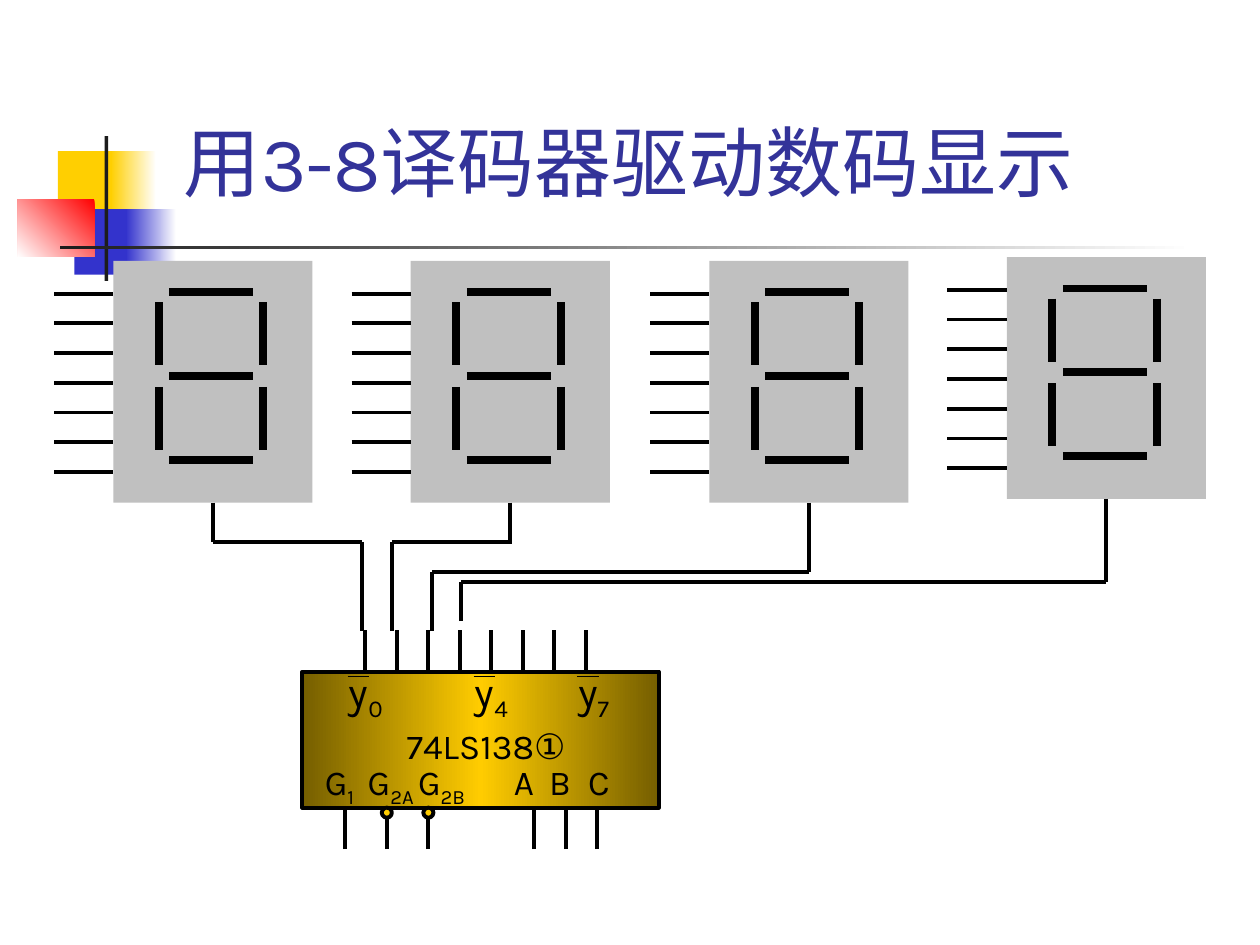
import copy
import itertools
import pptx
import pptx.util
import pptx.dml.color
import pptx.enum.shapes
import pptx.enum.text
import pptx.oxml.ns
import lxml.etree

RGB = pptx.dml.color.RGBColor
Inches, Pt = pptx.util.Inches, pptx.util.Pt
KIND = pptx.enum.shapes.MSO_SHAPE
BLACK, WHITE = RGB(0, 0, 0), RGB(255, 255, 255)
GOLD, AMBER, BRONZE = RGB(0xFF, 0xCF, 0x01), RGB(0xFF, 0xCC, 0), RGB(0x75, 0x5E, 0)
BLUE, RED = RGB(0x33, 0x33, 0xCC), RGB(0xFF, 0, 0)
INK, GRAY, NAVY = RGB(0x1C, 0x1C, 0x1C), RGB(0xC0, 0xC0, 0xC0), RGB(0x33, 0x33, 0x99)
FONT = "Karla"
THIN, WIRE, BAR = 0.75, 2.25, 4.5

TITLE = "用3-8译码器驱动数码显示"

# box, colours (one is solid, more make a gradient), clockwise angle
DECOR = [
    ((0.46, 1.2, 0.48, 0.52), [GOLD], 0),
    ((0.88, 1.2, 0.36, 0.52), [WHITE, GOLD], 180),
    ((0.59, 1.66, 0.46, 0.52), [BLUE], 0),
    ((1, 1.66, 0.4, 0.52), [WHITE, BLUE], 180),
    ((0.14, 1.58, 0.61, 0.46), [RED, WHITE], 135),
    ((0.83, 1.08, 0.03, 1.15), [INK], 0),
    ((0.48, 1.95, 9, 0.03), [WHITE, INK], 180),
]

# left and top of each seven-segment panel
PANELS = [(3.26, 2.07), (5.63, 2.07), (0.9, 2.07), (7.99, 2.04)]
PANEL_W, PANEL_H = 1.58, 1.92
PINS, PIN_GAP, PIN_LEN = 7, 0.236, 0.47

CHIP = (2.4, 5.33, 2.83, 1.08)
CHIP_BASE = CHIP[1] + CHIP[3]
LEG = 0.33
OUTPUTS = [2.9 + 0.25 * i for i in range(8)]
INPUTS = [2.74, 3.07, 3.4, 4.24, 4.49, 4.74]
INVERTED = INPUTS[1:3]

# text, subscript, box, size
LABELS = [
    ("y", "0", (2.67, 5.23, 0.48, 0.56), 24),
    ("y", "4", (3.67, 5.23, 0.48, 0.56), 24),
    ("y", "7", (4.49, 5.23, 0.48, 0.56), 24),
    ("G", "1", (2.48, 5.99, 0.49, 0.48), 20),
    ("G", "2A", (2.82, 5.99, 0.6, 0.48), 20),
    ("G", "2B", (3.22, 5.99, 0.6, 0.48), 20),
    ("A", "", (3.98, 5.99, 0.38, 0.44), 20),
    ("B", "", (4.26, 5.99, 0.38, 0.44), 20),
    ("C", "", (4.57, 5.99, 0.37, 0.44), 20),
    ("74LS138①", "", (3.13, 5.7, 1.57, 0.44), 20),
]

ROUTES = [
    [(1.69, 4.3), (2.87, 4.3), (2.87, 5.01)],
    [(3.11, 5.01), (3.11, 4.3), (4.06, 4.3)],
    [(3.43, 5.01), (3.43, 4.54), (6.42, 4.54), (6.42, 4.3)],
    [(3.66, 4.93), (3.66, 4.62), (8.78, 4.62), (8.78, 4.22)],
]


def add_line(shapes, start, end, weight=WIRE):
    line = shapes.add_connector(pptx.enum.shapes.MSO_CONNECTOR.STRAIGHT,
                                *map(Inches, start + end))
    line.line.color.rgb = BLACK
    line.line.width = Pt(weight)
    props = line._element.spPr
    lxml.etree.SubElement(props, pptx.oxml.ns.qn("a:effectLst"))


def paint(fill, colors, angle):
    """Fill with one colour, or with evenly spaced gradient stops."""
    if len(colors) == 1:
        fill.solid()
        fill.fore_color.rgb = colors[0]
        return
    fill.gradient()
    fill.gradient_angle = (360 - angle) % 360
    stops = fill._fill._gradFill.gsLst
    for _ in colors[2:]:
        stops.append(copy.deepcopy(stops[-1]))
    for i, (stop, color) in enumerate(zip(fill.gradient_stops, colors)):
        stop.position = i / (len(colors) - 1)
        stop.color.rgb = color


def add_block(shapes, box, colors, angle=0, kind=KIND.RECTANGLE, edge=False):
    block = shapes.add_shape(kind, *map(Inches, box))
    block.shadow.inherit = False
    paint(block.fill, colors, angle)
    if edge:
        block.line.color.rgb = BLACK
        block.line.width = Pt(WIRE)
    else:
        block.line.fill.background()


def style(run, size, color):
    run.font.name = FONT
    run.font.size = Pt(size)
    run.font.color.rgb = color


def add_label(shapes, text, sub, box, size):
    frame = shapes.add_textbox(*map(Inches, box)).text_frame
    frame.word_wrap = False
    para = frame.paragraphs[0]
    para.text = text
    if sub:
        low = para.add_run()
        low.text = sub
        low.font._element.set("baseline", "-25000")
    for run in para.runs:
        style(run, size, BLACK)


def add_panel(shapes, left, top):
    add_block(shapes, (left, top, PANEL_W, PANEL_H), [GRAY])
    for row in range(3):
        y = top + 0.25 + 0.665 * row
        add_line(shapes, (left + 0.445, y), (left + 1.11, y), BAR)
    for x, y in itertools.product((left + 0.36, left + 1.19), (top + 0.33, top + 1)):
        add_line(shapes, (x, y), (x, y + 0.5), BAR)
    for pin in range(PINS):
        y = top + 0.26 + PIN_GAP * pin
        add_line(shapes, (left - PIN_LEN, y), (left, y))
    mid, base = left + PANEL_W / 2, top + PANEL_H
    add_line(shapes, (mid, base), (mid, base + 0.31))


def add_chip(shapes):
    for x in OUTPUTS:
        add_line(shapes, (x, CHIP[1]), (x, CHIP[1] - LEG))
    for x in INPUTS:
        add_line(shapes, (x, CHIP_BASE + LEG), (x, CHIP_BASE))
    add_block(shapes, CHIP, [BRONZE, AMBER, BRONZE], 180, edge=True)
    for text, sub, box, size in LABELS:
        add_label(shapes, text, sub, box, size)
        if text == "y":
            x = box[0] + 0.09
            add_line(shapes, (x, 5.37), (x + 0.17, 5.37), THIN)
    for x in INVERTED:
        add_block(shapes, (x - 0.04, CHIP_BASE, 0.08, 0.08), [AMBER],
                  kind=KIND.OVAL, edge=True)


def add_title(title):
    title.left, title.top, title.width, title.height = map(
        Inches, (1.36, 0.44, 8.52, 1.25))
    frame = title.text_frame
    frame.text = TITLE
    frame.auto_size = pptx.enum.text.MSO_AUTO_SIZE.NONE
    frame.vertical_anchor = pptx.enum.text.MSO_ANCHOR.BOTTOM
    para = frame.paragraphs[0]
    para.alignment = pptx.enum.text.PP_ALIGN.LEFT
    style(para.runs[0], 44, NAVY)


def main():
    deck = pptx.Presentation()
    deck.slide_width, deck.slide_height = Inches(10), Inches(7.5)
    slide = deck.slides.add_slide(deck.slide_layouts[5])
    shapes = slide.shapes
    add_title(shapes.title)
    for box, colors, angle in DECOR:
        add_block(shapes, box, colors, angle)
    for left, top in PANELS:
        add_panel(shapes.add_group_shape().shapes, left, top)
    add_chip(shapes.add_group_shape().shapes)
    for route in ROUTES:
        for start, end in itertools.pairwise(route):
            add_line(shapes, start, end)
    deck.save("out.pptx")


if __name__ == "__main__":
    main()
